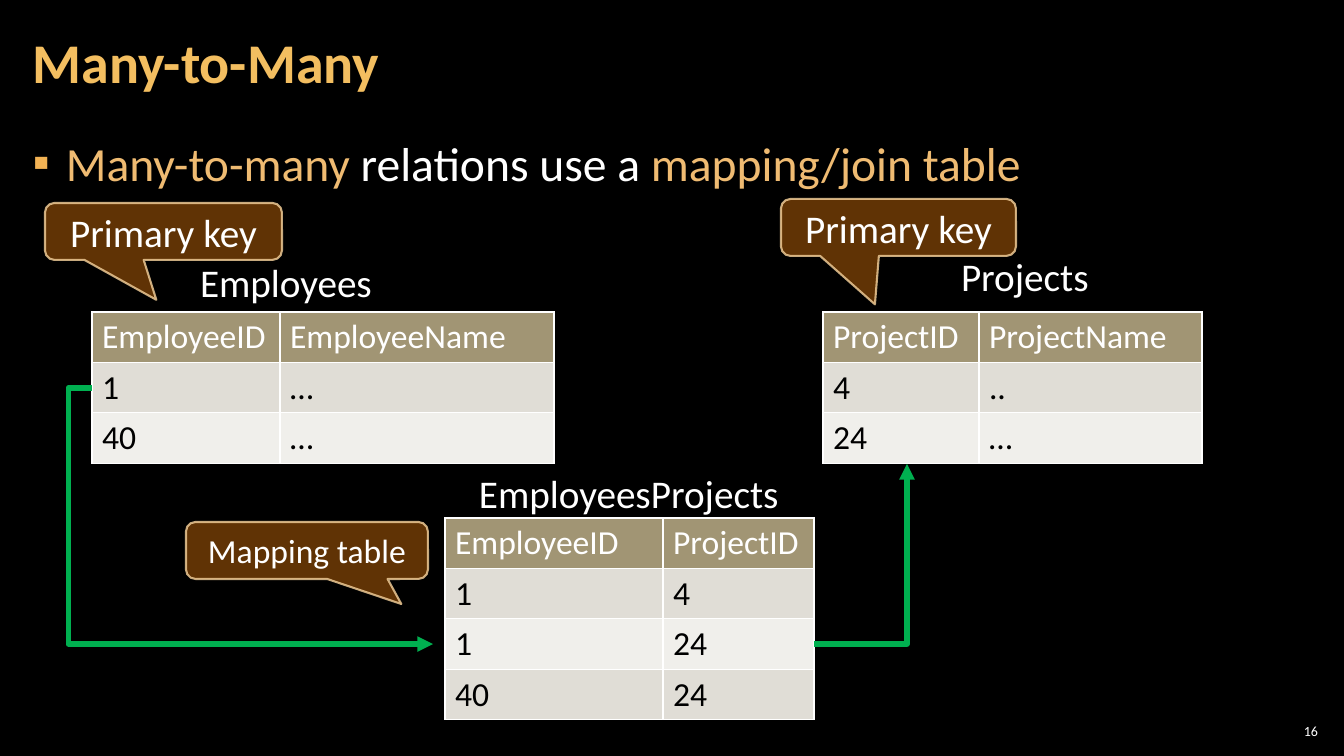
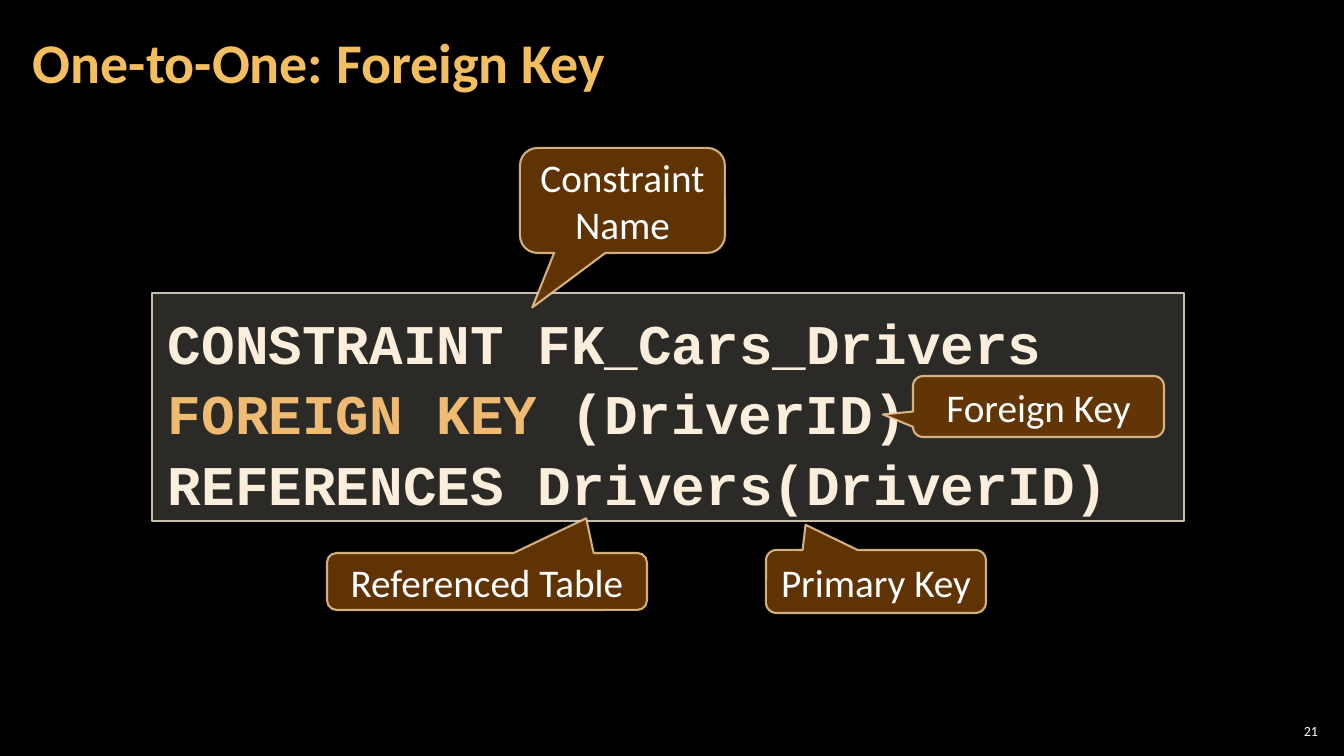
from lxml import etree
from pptx import Presentation
from pptx import util as u
from pptx.dml import color as dml
from pptx.enum import shapes, text
from pptx.oxml import ns

SCALE = 914400 / 100.8
FONT, CODE_FONT = "Calibri", "Courier New"
BLACK, WHITE = "000000", "FFFFFF"
TITLE_GOLD, ACCENT, BULLET = "F3BE60", "EFBB72", "F2B254"
CALLOUT_FILL, CALLOUT_LINE = "663606", "F8D49E"
CODE_FILL, CODE_LINE, CODE_TEXT = "D9D5C7", "C7BFAC", "FBEEDC"
HEADER_FILL, ROW_FILLS = "A19574", ("E0DDD6", "F0EFEB")
ARROW_GREEN = "00B050"
LEFT, CENTER, RIGHT = text.PP_ALIGN.LEFT, text.PP_ALIGN.CENTER, text.PP_ALIGN.RIGHT
TOP, MIDDLE = text.MSO_ANCHOR.TOP, text.MSO_ANCHOR.MIDDLE


def px(length):
    return u.Emu(round(length * SCALE))


def rgb(code):
    return dml.RGBColor.from_string(code)


def sub(parent, tag, **attributes):
    child = etree.SubElement(parent, ns.qn(tag))
    for name, value in attributes.items():
        child.set(name, str(value))
    return child


def paint(fill, code, opacity=100):
    fill.solid()
    fill.fore_color.rgb = rgb(code)
    if opacity < 100:
        solid = fill._xPr.find(ns.qn("a:solidFill"))
        sub(solid[0], "a:alpha", val=opacity * 1000)


def set_frame(frame, anchor=TOP, inset=(10, 5), wrap=True):
    frame.word_wrap = wrap
    frame.vertical_anchor = anchor
    frame.margin_left = frame.margin_right = px(inset[0])
    frame.margin_top = frame.margin_bottom = px(inset[1])


def write(para, spans, size, font=FONT, bold=False, align=LEFT, spacing=1.0):
    """Add (text, colour) spans; a newline in a span becomes a line break."""
    para.alignment = align
    para.line_spacing = spacing
    for content, code in spans:
        for index, line in enumerate(content.split("\n")):
            if index:
                para.add_line_break()
            if line:
                span = para.add_run()
                span.text = line
                span.font.name = font
                span.font.size = u.Pt(size)
                span.font.bold = bold
                span.font.color.rgb = rgb(code)


def add_text(page, at, spans, size, anchor=TOP, inset=(10, 5), wrap=True, **style):
    box = page.shapes.add_textbox(*map(px, at))
    set_frame(box.text_frame, anchor, inset, wrap)
    para = box.text_frame.paragraphs[0]
    write(para, spans, size, **style)
    return para


def add_page(deck, title, number):
    page = deck.slides.add_slide(deck.slide_layouts[6])
    add_text(page, (21, 4, 1055, 122), [(title, TITLE_GOLD)], 40,
             MIDDLE, (12, 4), bold=True, spacing=0.9)
    add_text(page, (1275, 720, 47, 21), [(str(number), WHITE)], 10,
             MIDDLE, (4, 4), align=RIGHT)
    return page


def add_bullet(page, at, spans):
    para = add_text(page, at, spans, 34, inset=(12, 4), spacing=1.05)
    para.space_after = u.Pt(6)
    props = para._p.get_or_add_pPr()
    props.set("marL", str(px(33)))
    props.set("indent", str(px(-33)))
    sub(sub(props, "a:buClr"), "a:srgbClr", val=BULLET)
    sub(props, "a:buFont", typeface="Wingdings")
    sub(props, "a:buChar", char="▪")
    props[-2].set("typeface", FONT)


def add_label(page, at, content):
    add_text(page, at, [(content, WHITE)], 28, wrap=False)


def add_panel(page, kind, at, fill, line):
    """Add a shape; fill is (colour, opacity), line is (colour, opacity, points)."""
    panel = page.shapes.add_shape(kind, *map(px, at))
    panel.shadow.inherit = False
    paint(panel.fill, *fill)
    paint(panel.line.fill, *line[:2])
    panel.line.width = u.Pt(line[2])
    return panel


def add_callout(page, at, content, tip, size=28):
    """tip is the pointer's end, as a share of the size, from the middle."""
    callout = add_panel(page, shapes.MSO_SHAPE.ROUNDED_RECTANGULAR_CALLOUT, at,
                        (CALLOUT_FILL, 95), (CALLOUT_LINE, 80, 1.5))
    callout.adjustments[0], callout.adjustments[1] = tip
    set_frame(callout.text_frame, MIDDLE)
    write(callout.text_frame.paragraphs[0], [(content, WHITE)], size, align=CENTER)


def add_code(page, at, spans):
    panel = add_panel(page, shapes.MSO_SHAPE.RECTANGLE, at,
                      (CODE_FILL, 20), (CODE_LINE, 100, 1))
    set_frame(panel.text_frame, TOP, (16, 12))
    write(panel.text_frame.paragraphs[0], spans, 40, CODE_FONT, True, spacing=1.05)


def style_cell(cell, content, fill, ink):
    write(cell.text_frame.paragraphs[0], [(content, ink)], 24)
    props = cell._tc.get_or_add_tcPr()
    for side in ("a:lnL", "a:lnR", "a:lnT", "a:lnB"):
        line = sub(props, side, w=u.Pt(1))
        sub(sub(line, "a:solidFill"), "a:srgbClr", val=WHITE)
    paint(cell.fill, fill)


def add_grid(page, left, top, widths, rows):
    frame = page.shapes.add_table(len(rows), len(widths), px(left), px(top),
                                  px(sum(widths)), px(50 * len(rows)))
    table = frame.table
    for column, width in zip(table.columns, widths):
        column.width = px(width)
    for r, row in enumerate(rows):
        table.rows[r].height = px(50)
        fill, ink = (ROW_FILLS[(r - 1) % 2], BLACK) if r else (HEADER_FILL, WHITE)
        for c, content in enumerate(row):
            style_cell(table.cell(r, c), content, fill, ink)


def add_elbow(page, start, end, bend, turned=False):
    """Bend is a share of the run; turned arrows leave and arrive vertically."""
    (x1, y1), (x2, y2) = start, end
    if turned:
        middle_x, middle_y = (x1 + x2) / 2, (y1 + y2) / 2
        half_w, half_h = abs(y2 - y1) / 2, abs(x2 - x1) / 2
        x1, x2 = middle_x + half_w, middle_x - half_w
        y1, y2 = middle_y + half_h, middle_y - half_h
    arrow = page.shapes.add_connector(shapes.MSO_CONNECTOR.ELBOW,
                                      px(x1), px(y1), px(x2), px(y2))
    paint(arrow.line.fill, ARROW_GREEN)
    arrow.line.width = u.Pt(3.75)
    props = arrow._element.spPr
    if turned:
        props.find(ns.qn("a:xfrm")).set("rot", "5400000")
    guides = props.find(ns.qn("a:prstGeom")).find(ns.qn("a:avLst"))
    sub(guides, "a:gd", name="adj1", fmla=f"val {round(bend * 100000)}")
    sub(props.find(ns.qn("a:ln")), "a:tailEnd", type="triangle")
    sub(props, "a:effectLst")


def many_to_many(deck):
    page = add_page(deck, "Many-to-Many", 16)
    add_bullet(page, (21, 127, 1301, 614), [
        ("Many-to-many", ACCENT), (" relations use a ", WHITE),
        ("mapping/join table", ACCENT)])
    add_grid(page, 92, 312, (188, 274),
             [("EmployeeID", "EmployeeName"), ("1", "…"), ("40", "…")])
    add_grid(page, 823, 312, (156, 223),
             [("ProjectID", "ProjectName"), ("4", ".."), ("24", "…")])
    add_grid(page, 445, 518, (218, 151),
             [("EmployeeID", "ProjectID"), ("1", "4"), ("1", "24"), ("40", "24")])
    add_label(page, (190, 253, 193, 57), "Employees")
    add_label(page, (951, 247, 149, 57), "Projects")
    add_label(page, (469, 464, 323, 57), "EmployeesProjects")
    add_elbow(page, (92, 388), (433, 644), -0.07)
    add_elbow(page, (814, 644), (907, 464), 0, turned=True)
    add_callout(page, (45, 203, 237, 57), "Primary key", (-0.03, 1.2))
    add_callout(page, (781, 199, 235, 57), "Primary key", (-0.1, 1.35))
    add_callout(page, (186, 522, 242, 57), "Mapping table", (0.39, 0.94), 24)


def foreign_key(deck):
    page = add_page(deck, "One-to-One: Foreign Key", 21)
    add_code(page, (152, 293, 1032, 228), [
        ("CONSTRAINT FK_Cars_Drivers\n", CODE_TEXT), ("FOREIGN KEY ", ACCENT),
        ("(DriverID)\nREFERENCES Drivers(DriverID)", CODE_TEXT)])
    add_callout(page, (766, 550, 220, 63), "Primary Key", (-0.32, -0.9))
    add_callout(page, (913, 376, 251, 61), "Foreign Key", (-0.62, 0.13))
    add_callout(page, (520, 148, 205, 105), "Constraint Name", (-0.44, 1.02))
    add_callout(page, (327, 553, 320, 57), "Referenced Table", (0.31, -1.11))


def main():
    deck = Presentation()
    deck.slide_width, deck.slide_height = px(1344), px(756)
    paint(deck.slide_master.background.fill, BLACK)
    many_to_many(deck)
    foreign_key(deck)
    deck.save("out.pptx")


if __name__ == "__main__":
    main()
